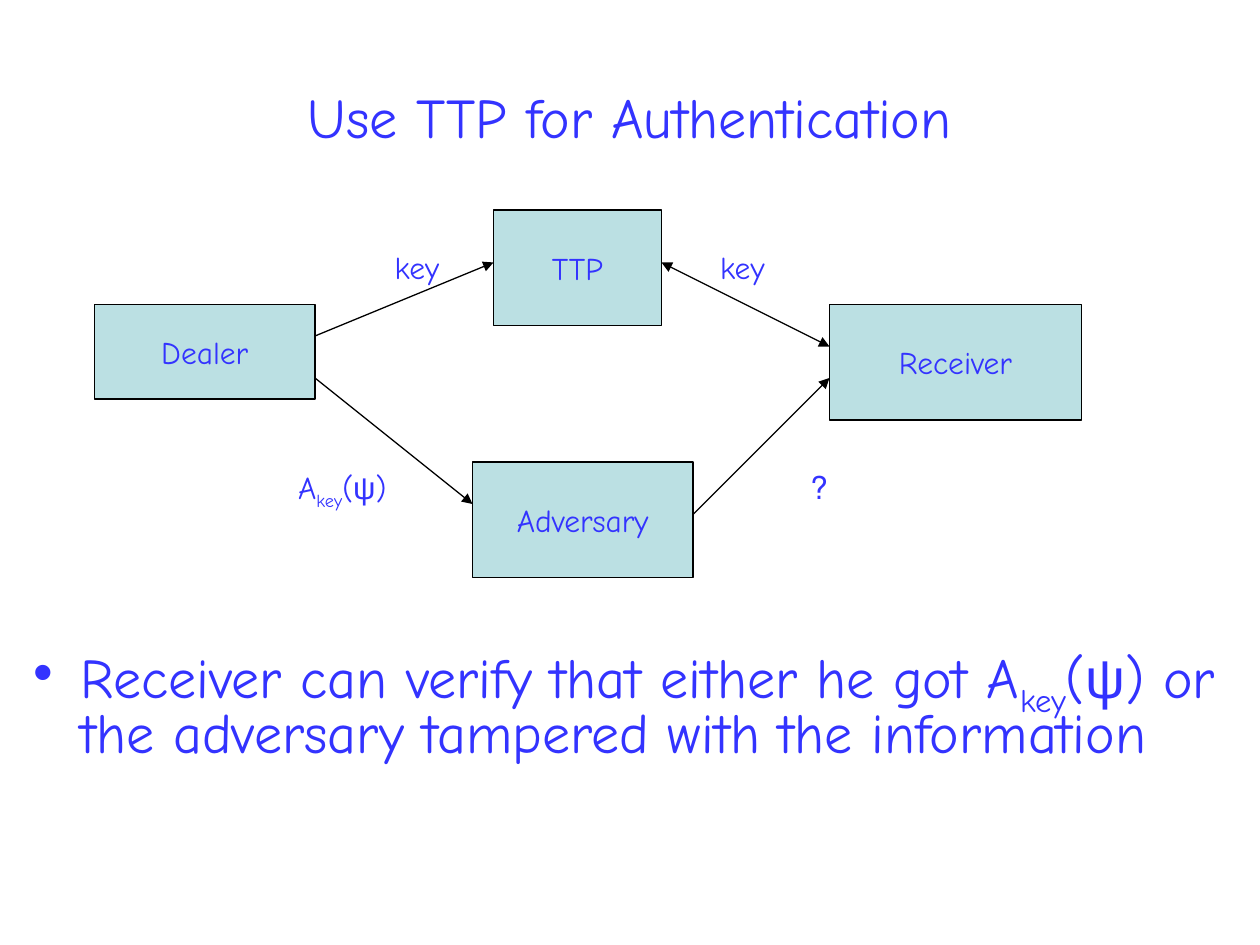
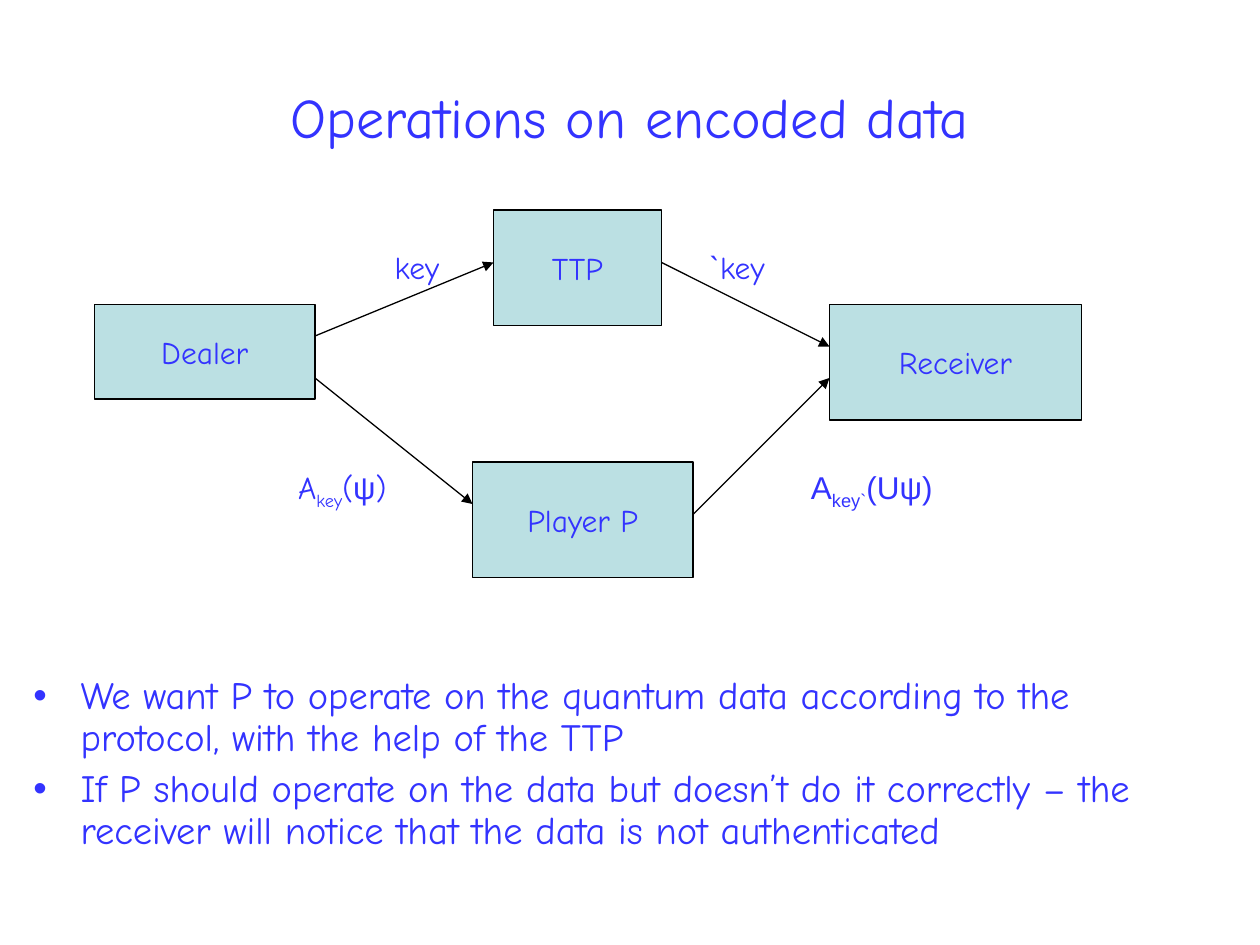
from lxml import etree
from pptx import Presentation
from pptx import util as u
from pptx.dml.color import RGBColor
from pptx.enum import shapes, text
from pptx.oxml.ns import qn

PX = u.Inches(1) // 120
COLORS = {"ink": "3333FF", "box": "BBE0E3", "line": "000000"}
SCRIPT, PLAIN = "Comic Neue", "Arial"


def color(name):
    return RGBColor.from_string(COLORS[name])


def assign(target, values):
    for name, value in values.items():
        setattr(target, name, value)


def add_xml(parent, tag, **attributes):
    element = etree.SubElement(parent, qn(tag))
    for name, value in attributes.items():
        element.set(name, value)
    return element


def symbol(base, subscript, rest):
    return [(base, SCRIPT, False), (subscript, SCRIPT, True), *rest]


A_KEY_PSI = symbol("A", "key", [("(", SCRIPT, False), ("ψ", PLAIN, False), (")", SCRIPT, False)])


class Deck:
    def __init__(self):
        self.presentation = Presentation()
        assign(self.presentation, {"slide_width": 1200 * PX, "slide_height": 900 * PX})
        self.slide = None

    def add_runs(self, paragraph, content, size):
        if isinstance(content, str):
            content = [(content, SCRIPT, False)]
        for words, face, lowered in content:
            run = paragraph.add_run()
            run.text = words
            assign(run.font, {"name": face, "size": u.Pt(size), "bold": False})
            run.font.color.rgb = color("ink")
            if lowered:
                run._r.get_or_add_rPr().set("baseline", "-25000")

    def title(self, words):
        self.slide = self.presentation.slides.add_slide(self.presentation.slide_layouts[5])
        shape = self.slide.shapes.title
        assign(shape, {"left": 60 * PX, "top": 36 * PX, "width": 1080 * PX, "height": 150 * PX})
        assign(shape.text_frame, {"vertical_anchor": text.MSO_ANCHOR.MIDDLE, "word_wrap": True,
                                  "auto_size": text.MSO_AUTO_SIZE.NONE})
        paragraph = shape.text_frame.paragraphs[0]
        paragraph.alignment = text.PP_ALIGN.CENTER
        self.add_runs(paragraph, words, 32)

    def text_box(self, *bounds):
        shape = self.slide.shapes.add_textbox(*(length * PX for length in bounds))
        shape.text_frame.word_wrap = True
        return shape.text_frame

    def bullets(self, items, size, spacing, bottom):
        frame = self.text_box(20, 210, 1150, 630)
        assign(frame, {"vertical_anchor": text.MSO_ANCHOR.BOTTOM, "margin_bottom": bottom * PX})
        for index, item in enumerate(items):
            paragraph = frame.add_paragraph() if index else frame.paragraphs[0]
            properties = paragraph._p.get_or_add_pPr()
            properties.set("marL", str(45 * PX))
            properties.set("indent", str(-45 * PX))
            add_xml(add_xml(properties, "a:buClr"), "a:srgbClr", val=COLORS["ink"])
            add_xml(properties, "a:buFont", typeface=PLAIN)
            add_xml(properties, "a:buChar", char="•")
            paragraph.line_spacing = spacing
            if index:
                paragraph.space_before = u.Pt(size / 4)
            self.add_runs(paragraph, item, size)

    def box(self, words, *bounds):
        shape = self.slide.shapes.add_shape(
            shapes.MSO_SHAPE.RECTANGLE, *(length * PX for length in bounds))
        shape.shadow.inherit = False
        shape.fill.solid()
        shape.fill.fore_color.rgb = color("box")
        shape.line.color.rgb = color("line")
        shape.line.width = u.Pt(0.75)
        assign(shape.text_frame, {"word_wrap": False, "vertical_anchor": text.MSO_ANCHOR.MIDDLE})
        paragraph = shape.text_frame.paragraphs[0]
        paragraph.alignment = text.PP_ALIGN.CENTER
        self.add_runs(paragraph, words, 18)

    def arrow(self, *ends, both=False):
        connector = self.slide.shapes.add_connector(
            shapes.MSO_CONNECTOR.STRAIGHT, *(length * PX for length in ends))
        connector.line.color.rgb = color("line")
        connector.line.width = u.Pt(0.75)
        properties = connector._element.spPr
        line = properties.find(qn("a:ln"))
        if both:
            add_xml(line, "a:headEnd", type="triangle")
        add_xml(line, "a:tailEnd", type="triangle")
        add_xml(properties, "a:effectLst")

    def label(self, content, *bounds):
        paragraph = self.text_box(*bounds).paragraphs[0]
        paragraph.alignment = text.PP_ALIGN.RIGHT
        paragraph._p.get_or_add_pPr().set("rtl", "1")
        self.add_runs(paragraph, content, 18)

    def protocol(self, middleman, returned_key, output, output_width, both):
        self.box("Dealer", 90, 290, 210, 90)
        self.arrow(300, 360, 450, 480)
        self.box(middleman, 450, 440, 210, 110)
        self.arrow(300, 320, 470, 250)
        self.box("TTP", 470, 200, 160, 110)
        self.box("Receiver", 790, 290, 240, 110)
        self.arrow(660, 490, 790, 360)
        self.arrow(630, 250, 790, 330, both=both)
        self.label("key", 310, 230, 120, 48)
        self.label(returned_key, 620, 230, 120, 48)
        self.label(A_KEY_PSI, 200, 440, 180, 53)
        self.label(output, 720, 440, output_width, 53)


def main():
    deck = Deck()

    deck.title("Use TTP for Authentication")
    verification = [("Receiver can verify that either he got ", SCRIPT, False), *A_KEY_PSI,
                    (" or the adversary tampered with the information", SCRIPT, False)]
    deck.bullets([verification], size=32, spacing=0.8, bottom=112)
    deck.protocol("Adversary", "key", "?", 80, both=True)

    deck.title("Operations on encoded data")
    deck.bullets([
        "We want P to operate on the quantum data according to the protocol, "
        "with the help of the TTP",
        "If P should operate on the data but doesn’t do it correctly – "
        "the receiver will notice that the data is not authenticated",
    ], size=22, spacing=0.9, bottom=28)
    operated = [("A", PLAIN, False), ("key`", PLAIN, True), ("(Uψ)", PLAIN, False)]
    deck.protocol("Player P", "key`", operated, 180, both=False)

    deck.presentation.save("out.pptx")


if __name__ == "__main__":
    main()
